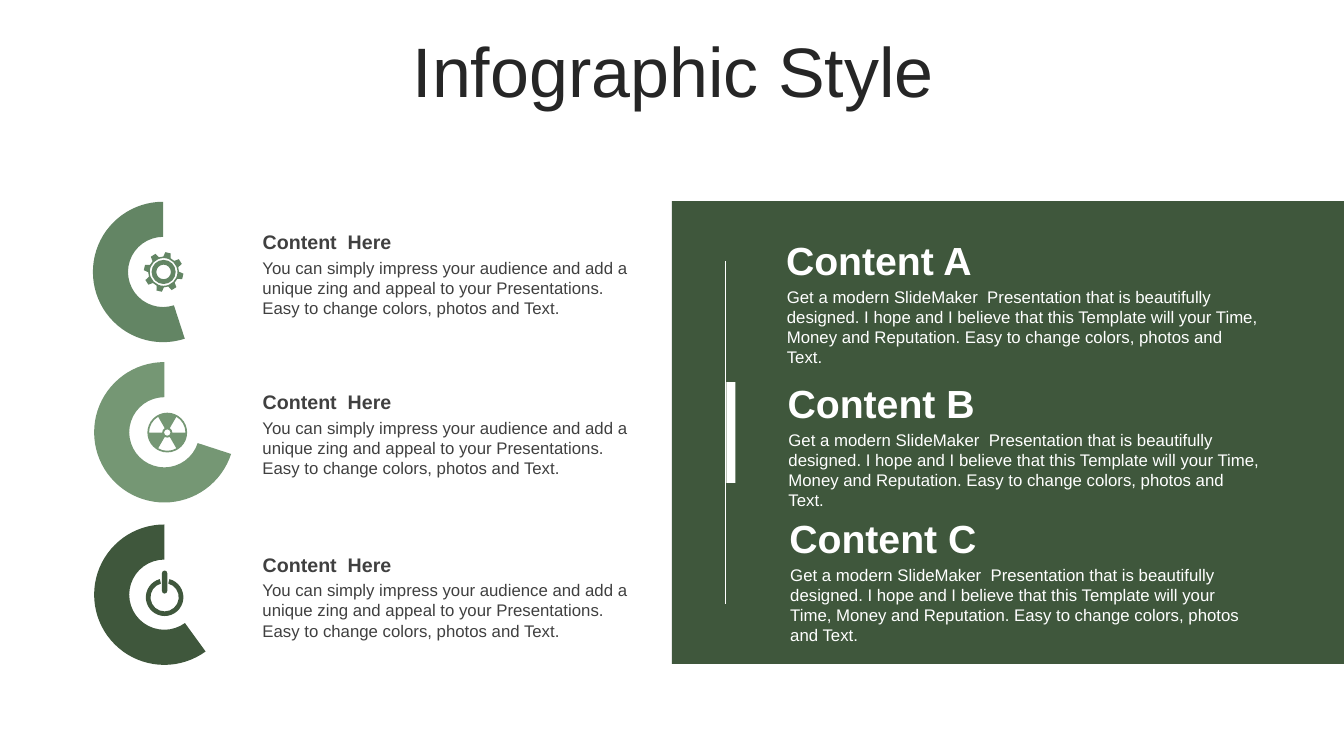
from collections.abc import Callable
from dataclasses import dataclass
from math import ceil, cos, radians, sin, tan

from lxml.etree import SubElement
from pptx import Presentation
from pptx.chart.data import CategoryChartData
from pptx.dml.color import RGBColor
from pptx.enum.chart import XL_CHART_TYPE
from pptx.enum.shapes import MSO_CONNECTOR, MSO_SHAPE
from pptx.enum.text import MSO_ANCHOR, PP_ALIGN
from pptx.oxml.ns import qn
from pptx.util import Pt

FONT = "Arial"
WHITE, GREY, INK = "FFFFFF", "404040", "262626"
DARK, MID, LIGHT = "3F573C", "638564", "759774"
ROW_TEXT = (
    "You can simply impress your audience and add a unique zing and appeal to your "
    "Presentations. Easy to change colors, photos and Text."
)
PANEL_TEXT = (
    "Get a modern SlideMaker  Presentation that is beautifully designed. I hope and "
    "I believe that this Template will your Time, Money and Reputation. "
    "Easy to change colors, photos and Text."
)


@dataclass
class Dot:
    x: float
    y: float
    bent: bool = False


Loop = list[Dot]


def spot(x: float, y: float, r: float, turn: float) -> Dot:
    return Dot(x + r * sin(radians(turn)), y - r * cos(radians(turn)))


def arc(x: float, y: float, r: float, start: float = 0, end: float = 360) -> Loop:
    parts = ceil(abs(end - start) / 90)
    step = (end - start) / parts
    pull = r * 4 / 3 * tan(radians(step / 4))
    dots = [spot(x, y, r, start)]
    for i in range(parts):
        head, tail = radians(start + step * i), radians(start + step * (i + 1))
        last = spot(x, y, r, start + step * (i + 1))
        dots += [
            Dot(dots[-1].x + pull * cos(head), dots[-1].y + pull * sin(head), True),
            Dot(last.x - pull * cos(tail), last.y - pull * sin(tail), True),
            Dot(last.x, last.y, True),
        ]
    return dots


def band(x: float, y: float, small: float, big: float, start: float, end: float) -> Loop:
    return arc(x, y, big, start, end) + arc(x, y, small, end, start)


def gear(x: float, y: float) -> list[Loop]:
    teeth = ((-14, 11), (-8, 14.2), (8, 14.2), (14, 11))
    rim = [spot(x, y, r, 13 + 45 * i + turn) for i in range(8) for turn, r in teeth]
    return [rim] + [arc(x, y, r) for r in (9.9, 8.6, 5.2)]


def atom(x: float, y: float) -> list[Loop]:
    blades = [band(x, y, 3.6, 13, mid - 30, mid + 30) for mid in (60, 180, 300)]
    return [arc(x, y, 14.2), arc(x, y, 2.3)] + blades


def power(x: float, y: float) -> list[Loop]:
    stem = arc(x, y - 17.2, 1.9, -90, 90) + arc(x, y - 4.5, 1.9, 90, 270)
    return [band(x, y, 10.1, 13.4, 15, 345), stem]


@dataclass
class Row:
    left: float
    top: float
    gap: int
    color: str
    icon: Callable[[float, float], list[Loop]]
    x: float
    y: float


@dataclass
class Item:
    title: str
    left: float
    top: float
    width: float


ROWS = [
    Row(56, 134.2, 45, MID, gear, 116.9, 194.3),
    Row(56.9, 248.7, 30, LIGHT, atom, 119.5, 309),
    Row(56.9, 364.7, 40, DARK, power, 117.6, 426.6),
]
ITEMS = [
    Item("Content A", 554.4, 164.9, 352.8),
    Item("Content B", 555.5, 267.1, 353.5),
    Item("Content C", 556.8, 363.6, 350.6),
]


def paint(part, color: str) -> None:
    part.fill.solid()
    part.fill.fore_color.rgb = RGBColor.from_string(color)


def plain(shape, color: str) -> None:
    paint(shape, color)
    shape.line.fill.background()
    shape.shadow.inherit = False


def block(slide, left: float, top: float, width: float, height: float, color: str) -> None:
    shape = slide.shapes.add_shape(
        MSO_SHAPE.RECTANGLE, Pt(left), Pt(top), Pt(width), Pt(height))
    plain(shape, color)


def write(slide, text: str, left: float, top: float, width: float, height: float,
          size: float, color: str, bold: bool = False, mid: bool = False):
    box = slide.shapes.add_textbox(Pt(left), Pt(top), Pt(width), Pt(height))
    frame = box.text_frame
    frame.text = text
    frame.word_wrap = True
    frame.vertical_anchor = MSO_ANCHOR.MIDDLE if mid else MSO_ANCHOR.TOP
    font = frame.paragraphs[0].runs[0].font
    font.name, font.size, font.bold = FONT, Pt(size), bold
    font.color.rgb = RGBColor.from_string(color)
    return frame.paragraphs[0]


def bend(shape, loops: list[Loop]) -> None:
    lines = list(shape._element.iter(qn("a:lnTo")))
    dots = [dot for loop in loops for dot in loop[1:]]
    curved = [line for line, dot in zip(lines, dots) if dot.bent]
    for first, second, third in zip(curved[::3], curved[1::3], curved[2::3]):
        first.tag = qn("a:cubicBezTo")
        for line in (second, third):
            first.append(line[0])
            line.getparent().remove(line)


def draw_icon(slide, loops: list[Loop], color: str) -> None:
    fine = 100
    paths = [[(dot.x * fine, dot.y * fine) for dot in loop] for loop in loops]
    pen = slide.shapes.build_freeform(*paths[0][0], scale=Pt(1) / fine)
    pen.add_line_segments(paths[0][1:])
    for points in paths[1:]:
        pen.move_to(*points[0])
        pen.add_line_segments(points[1:])
    shape = pen.convert_to_shape()
    bend(shape, loops)
    plain(shape, color)


def draw_ring(slide, row: Row) -> None:
    data = CategoryChartData()
    data.categories = ["1", "2"]
    data.add_series("Series 1", (row.gap, 100 - row.gap))
    chart = slide.shapes.add_chart(
        XL_CHART_TYPE.DOUGHNUT, Pt(row.left), Pt(row.top), Pt(121), Pt(120.2), data).chart
    chart.has_legend = chart.has_title = False
    chart.font.name, chart.font.size = FONT, Pt(10)
    chart.font.color.rgb = RGBColor.from_string("000000")
    plot = chart.plots[0]
    plot.vary_by_categories = False
    for i in range(2):
        form = plot.series[0].points[i].format
        form.line.fill.background()
        if i:
            paint(form, row.color)
        else:
            form.fill.background()


def draw_row(slide, row: Row) -> None:
    draw_ring(slide, row)
    draw_icon(slide, row.icon(row.x, row.y), row.color)
    top = row.top + 26.3
    write(slide, "Content  Here", 180.6, top, 275.8, 24.5, 14, GREY, True, True)
    write(slide, ROW_TEXT, 180.4, top + 19.7, 275.8, 51, 12, GREY)


def draw_item(slide, item: Item) -> None:
    write(slide, item.title, item.left, item.top, item.width, 41, 28, WHITE, True, True)
    write(slide, PANEL_TEXT, item.left + 0.6, item.top + 36.2, item.width, 51, 12, WHITE)


def draw_panel(slide) -> None:
    block(slide, 480, 143.7, 480, 330.5, DARK)
    line = slide.shapes.add_connector(
        MSO_CONNECTOR.STRAIGHT, Pt(518.3), Pt(186.5), Pt(518.3), Pt(431.3))
    line.line.width = Pt(1)
    line.line.color.rgb = RGBColor.from_string(WHITE)
    SubElement(line._element.spPr, qn("a:effectLst"))
    block(slide, 518.8, 272.9, 6.5, 72, WHITE)
    for item in ITEMS:
        draw_item(slide, item)


def main() -> None:
    deck = Presentation()
    deck.slide_width, deck.slide_height = Pt(960), Pt(540)
    slide = deck.slides.add_slide(deck.slide_layouts[6])
    title = write(slide, "Infographic Style", 25.4, 26.6, 911.5, 56.9, 50, INK, mid=True)
    title.alignment = PP_ALIGN.CENTER
    title.line_spacing = 0.8
    draw_panel(slide)
    for row in ROWS:
        draw_row(slide, row)
    deck.save("out.pptx")


if __name__ == "__main__":
    main()
